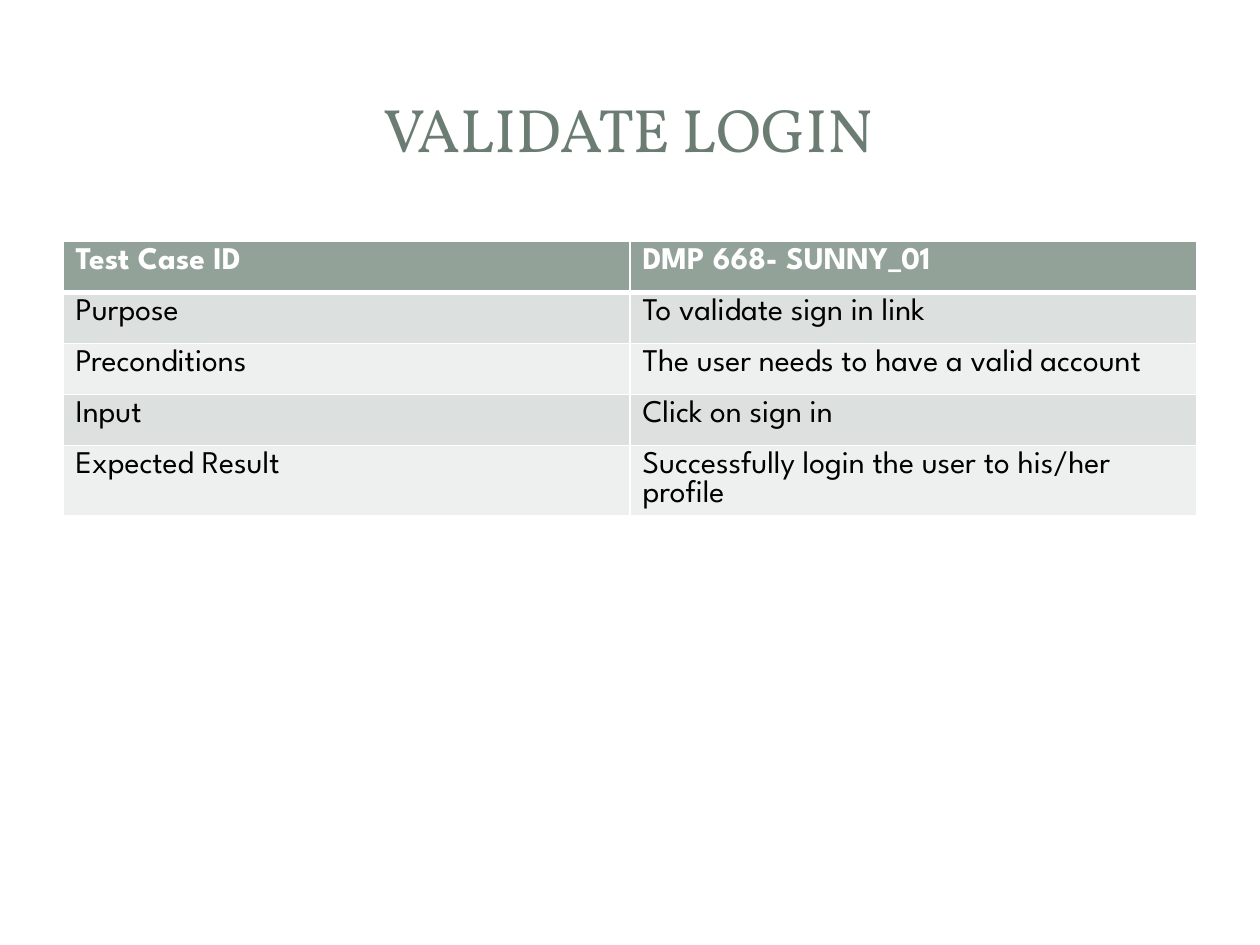
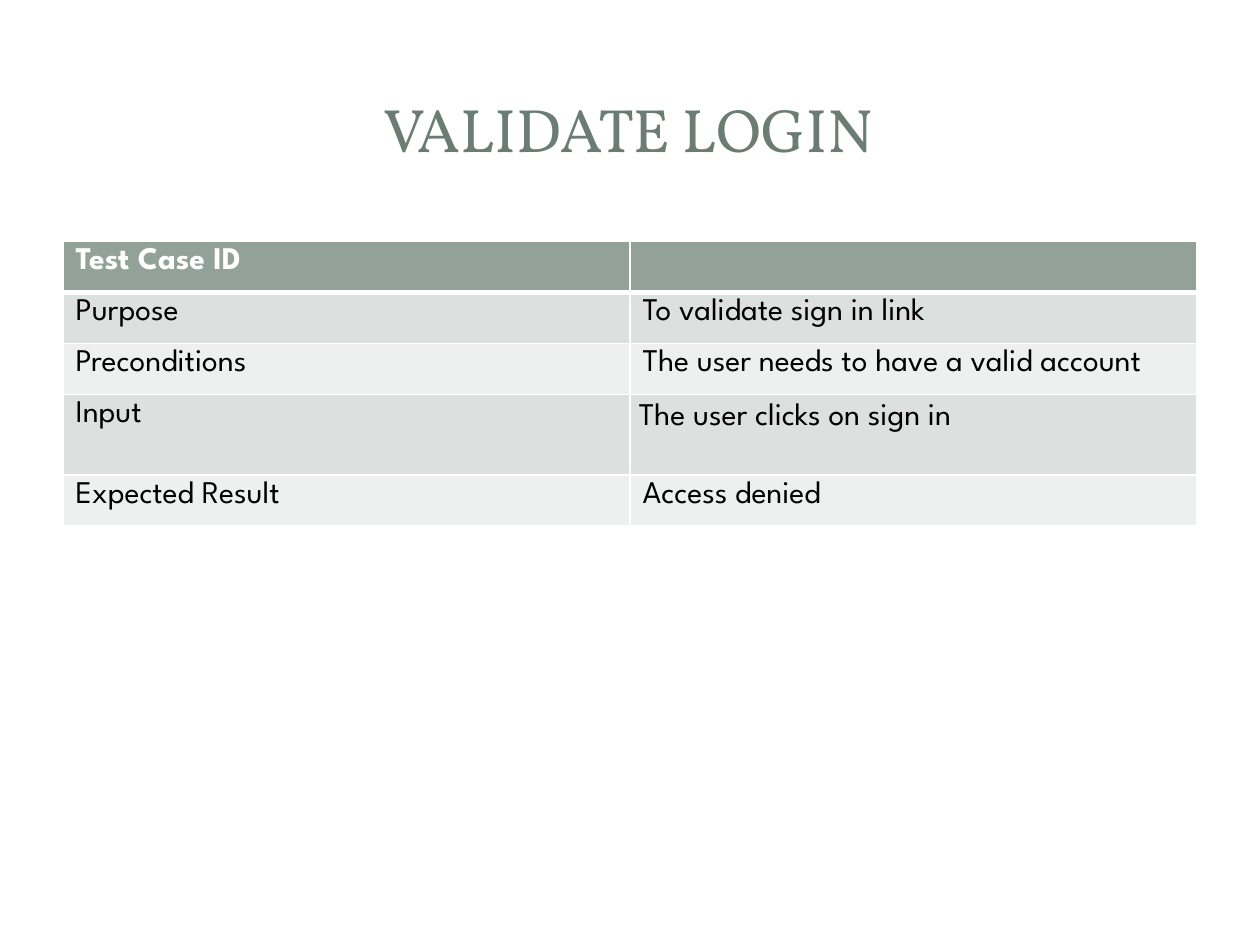
from lxml import etree
from pptx import Presentation
from pptx.dml.color import RGBColor
from pptx.enum.shapes import MSO_SHAPE
from pptx.enum.text import MSO_ANCHOR, PP_ALIGN
from pptx.oxml.ns import qn
from pptx.util import Pt

CENTER = PP_ALIGN.CENTER
MIDDLE = MSO_ANCHOR.MIDDLE
RECTANGLE = MSO_SHAPE.RECTANGLE
ROUNDED = MSO_SHAPE.ROUNDED_RECTANGLE
TITLE_ONLY = 5
PX = 4572  # EMU in one px, at 200 px to the inch
COLORS = {
    "title": "6B7D72",
    "header": "93A299",
    "odd_row": "DCE0DE",
    "even_row": "EEF0EF",
    "white": "FFFFFF",
    "black": "000000",
}
TITLE_FONT = "Vollkorn"
BODY_FONT = "League Spartan"
TITLE = "VALIDATE LOGIN"
LABELS = ["Test Case ID", "Purpose", "Preconditions", "Input", "Expected Result"]
ROW_HEIGHT = 81
COLUMN_WIDTH = 900
INPUT_ROW = LABELS.index("Input")
RESULT_ROW = LABELS.index("Expected Result")

# White panels behind the title and the page: shape, box, opacity in percent
PANELS = [
    (ROUNDED, (20, 22, 1960, 1458), 100),
    (RECTANGLE, (60, 60, 1880, 290), 83),
    (RECTANGLE, (82, 82, 1834, 244), 100),
]

# Each test case: its values, the heights of taller rows, the insets of padded rows
TEST_CASES = [
    (
        ["DMP 668- SUNNY_01", "To validate sign in link",
         "The user needs to have a valid account", "Click on sign in",
         "Successfully login the user to his/her profile"],
        {RESULT_ROW: 112},
        {},
    ),
    (
        ["", "To validate sign in link",
         "The user needs to have a valid account", "The user clicks on sign in",
         "Access denied"],
        {INPUT_ROW: 128},
        {INPUT_ROW: 14},
    ),
]


def style_font(font, name, size, color, bold=False):
    font.name = name
    font.size = Pt(size)
    font.bold = bold
    font.color.rgb = RGBColor.from_string(COLORS[color])


def add_borders(cell, bottom_width):
    """Draw white cell borders, 1 pt wide except for the bottom one."""
    properties = cell._tc.get_or_add_tcPr()
    widths = {"lnL": 1, "lnR": 1, "lnT": 1, "lnB": bottom_width}
    for position, (side, width) in enumerate(widths.items()):
        line = etree.Element(qn(f"a:{side}"), w=str(Pt(width)))
        fill = etree.SubElement(line, qn("a:solidFill"))
        etree.SubElement(fill, qn("a:srgbClr"), val=COLORS["white"])
        properties.insert(position, line)


deck = Presentation()
deck.slide_width = 2000 * PX
deck.slide_height = 1500 * PX

for values, tall_rows, padded_rows in TEST_CASES:
    page = deck.slides.add_slide(deck.slide_layouts[TITLE_ONLY])
    title = page.shapes.title

    for kind, box, opacity in PANELS:
        panel = page.shapes.add_shape(kind, *(length * PX for length in box))
        panel.shadow.inherit = False
        panel.line.fill.background()
        panel.fill.solid()
        panel.fill.fore_color.rgb = RGBColor.from_string(COLORS["white"])
        if kind == ROUNDED:
            panel.adjustments[0] = 0.017
        if opacity < 100:
            color = panel._element.spPr.find(qn("a:solidFill")).find(qn("a:srgbClr"))
            etree.SubElement(color, qn("a:alpha"), val=str(opacity * 1000))
        title._element.addprevious(panel._element)

    title.left, title.top, title.width, title.height = (
        94 * PX, 89 * PX, 1806 * PX, 228 * PX)
    title.text_frame.text = TITLE
    title.text_frame.vertical_anchor = MIDDLE
    heading = title.text_frame.paragraphs[0]
    heading.alignment = CENTER
    style_font(heading.font, TITLE_FONT, 35, "title")

    heights = [tall_rows.get(row, ROW_HEIGHT) for row in range(len(LABELS))]
    table = page.shapes.add_table(
        len(LABELS), 2, 100 * PX, 383 * PX,
        2 * COLUMN_WIDTH * PX, sum(heights) * PX).table

    for row, texts in enumerate(zip(LABELS, values)):
        table.rows[row].height = heights[row] * PX
        is_header = row == 0
        row_color = "header" if is_header else "odd_row" if row % 2 else "even_row"
        for column, text in enumerate(texts):
            cell = table.cell(row, column)
            cell.text = text
            cell.fill.solid()
            cell.fill.fore_color.rgb = RGBColor.from_string(COLORS[row_color])
            add_borders(cell, 3 if is_header else 1)
            style_font(cell.text_frame.paragraphs[0].font, BODY_FONT, 18,
                       "white" if is_header else "black", is_header)

    for row, inset in padded_rows.items():
        cell = table.cell(row, 1)
        cell.margin_left = cell.margin_right = inset * PX
        cell.margin_top = cell.margin_bottom = inset * PX

deck.save("out.pptx")
